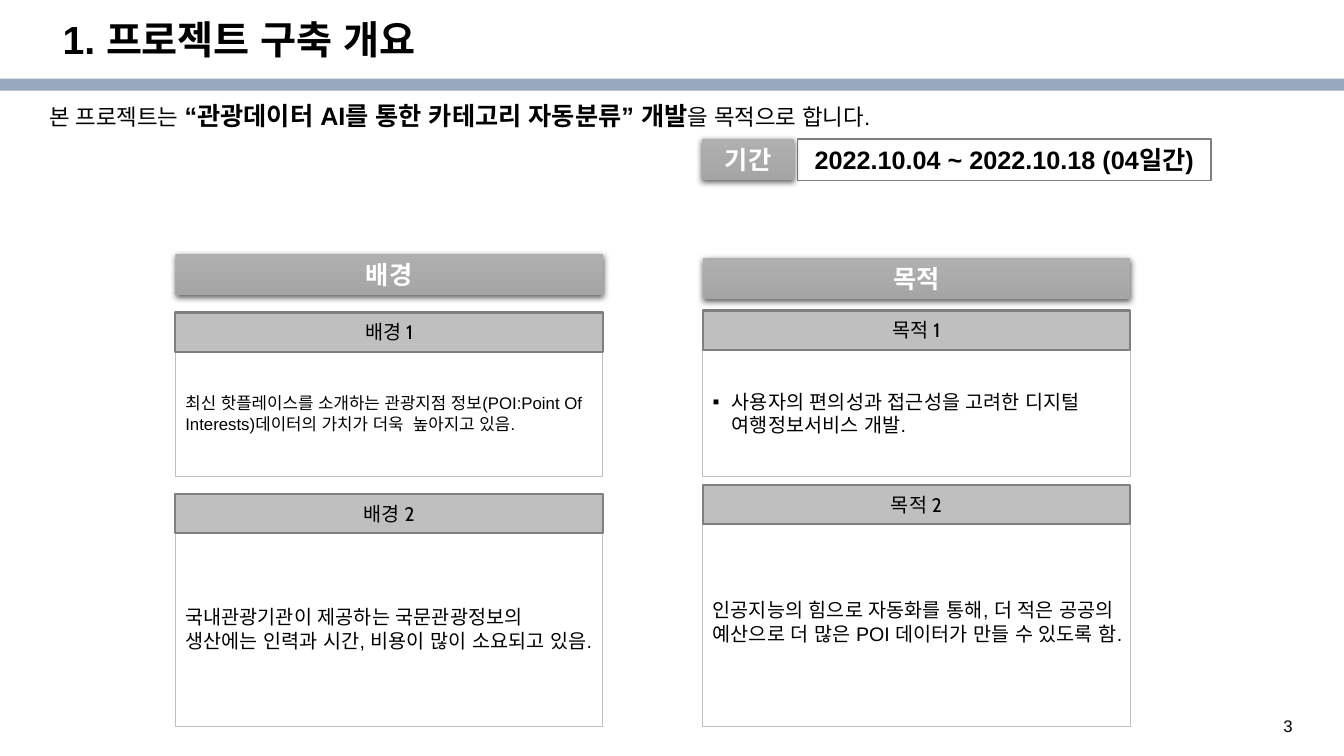
from lxml import etree
from pptx import Presentation
from pptx.dml.color import RGBColor
from pptx.enum.shapes import MSO_SHAPE
from pptx.enum.text import MSO_ANCHOR, MSO_AUTO_SIZE, PP_ALIGN
from pptx.oxml import parse_xml
from pptx.oxml.ns import nsdecls, qn
from pptx.util import Inches, Pt

RECT = MSO_SHAPE.RECTANGLE
TOP, MIDDLE = MSO_ANCHOR.TOP, MSO_ANCHOR.MIDDLE
LEFT, CENTER = PP_ALIGN.LEFT, PP_ALIGN.CENTER
COLUMN_W, BANNER_H, HEADING_H = 4.24, 0.41, 0.39
BANNER_SHADOW = (
    f'<a:effectLst {nsdecls("a")}><a:outerShdw blurRad="{Pt(4.5)}" dist="{Pt(1.5)}"'
    ' dir="5400000" rotWithShape="0"><a:srgbClr val="000000"><a:alpha val="63000"/>'
    '</a:srgbClr></a:outerShdw></a:effectLst>')

HEADING = dict(size=14, name="Cabin")
STRONG = dict(size=18, bold=True)


def rgb(value):
    return RGBColor.from_string(value)


def add_run(p, text, size=14, bold=False, name="Arial", color="000000"):
    r = p.add_run()
    r.text = text
    for key, value in dict(size=Pt(size), bold=bold, name=name).items():
        setattr(r.font, key, value)
    r.font.color.rgb = rgb(color)
    # Korean text takes the same typeface
    etree.SubElement(r.font._element, qn("a:ea"), typeface=name)


def write(s, runs, align=LEFT, anchor=MIDDLE, inset=(0.1, 0.05), spacing=None):
    tf = s.text_frame
    x, y = (Inches(v) for v in inset)
    settings = dict(word_wrap=True, auto_size=MSO_AUTO_SIZE.NONE, vertical_anchor=anchor,
                    margin_left=x, margin_right=x, margin_top=y, margin_bottom=y)
    for key, value in settings.items():
        setattr(tf, key, value)
    p = tf.paragraphs[0]
    p.alignment, p.line_spacing = align, spacing
    for text, style in runs:
        add_run(p, text, **style)
    return p


def add_rect(slide, box, fill=None, line=None, width=0.75):
    s = slide.shapes.add_shape(RECT, *map(Inches, box))
    s.shadow.inherit = False
    if fill:
        s.fill.solid()
        s.fill.fore_color.rgb = rgb(fill)
    if line:
        s.line.color.rgb = rgb(line)
        s.line.width = Pt(width)
    else:
        s.line.fill.background()
    return s


def add_text(slide, box, runs, **layout):
    s = slide.shapes.add_textbox(*map(Inches, box))
    write(s, runs, **layout)


def add_bullet(p, char):
    pPr = p._p.get_or_add_pPr()
    pPr.set("marL", str(Inches(0.19)))
    pPr.set("indent", str(-Inches(0.19)))
    color = etree.SubElement(pPr, qn("a:buClr"))
    etree.SubElement(color, qn("a:srgbClr"), val="000000")
    etree.SubElement(pPr, qn("a:buFont"), typeface="Arial")
    etree.SubElement(pPr, qn("a:buChar"), char=char)


def add_banner(slide, box, text):
    """Grey gradient label with a soft shadow."""
    s = add_rect(slide, box)
    s.fill.gradient()
    s.fill.gradient_angle = 270
    for stop, color in zip(s.fill.gradient_stops, ("AFAFAF", "A5A5A5")):
        stop.color.rgb = rgb(color)
    spPr = s._element.spPr
    spPr.replace(spPr.find(qn("a:effectLst")), parse_xml(BANNER_SHADOW))
    write(s, [(text, dict(STRONG, color="FFFFFF"))], CENTER)


def add_card(slide, left, heading_top, body_top, body_h, heading, text, size=14, bullet=None):
    """White body with a grey heading bar over its top edge."""
    body = add_rect(slide, (left, body_top, COLUMN_W, body_h), "FFFFFF", "BFBFBF")
    p = write(body, [(text, dict(size=size))])
    if bullet:
        add_bullet(p, bullet)
    bar = add_rect(slide, (left, heading_top, COLUMN_W, HEADING_H), "BFBFBF", "7F7F7F", 1.5)
    write(bar, [(heading, HEADING)], CENTER, inset=(0.08, 0.08))


def add_column(slide, left, top, title, cards):
    add_banner(slide, (left, top, COLUMN_W, BANNER_H), title)
    for card in cards:
        add_card(slide, left, **card)


def add_header(slide, width):
    add_rect(slide, (0, 0.78, width, 0.12), "98A8BD")
    title = slide.shapes.title
    title.left, title.top, title.width, title.height = map(Inches, (0.52, 0.15, 11.5, 0.53))
    write(title, [("1. 프로젝트 구축 개요", dict(size=28, bold=True))], spacing=0.9)
    add_text(slide, (0.39, 0.98, 12.01, 0.71), [
        ("본 프로젝트는 ", dict(size=16)),
        ("“관광데이터 AI를 통한 카테고리 자동분류” 개발", STRONG),
        ("을 목적으로 합니다.", dict(size=16)),
    ], anchor=TOP, spacing=0.9)


def add_period(slide, left, top):
    dates = add_rect(slide, (left + 0.95, top, 4.1, BANNER_H), "FFFFFF", "7F7F7F", 1)
    write(dates, [("2022.10.04 ~ 2022.10.18 (04일간)", STRONG)], CENTER)
    add_banner(slide, (left, top, 0.92, BANNER_H), "기간")


BACKGROUND = [
    dict(heading_top=3.1, body_top=3.47, body_h=1.26, heading="배경 1", size=12,
         text="최신 핫플레이스를 소개하는 관광지점 정보(POI:Point Of Interests)"
              "데이터의 가치가 더욱  높아지고 있음."),
    dict(heading_top=4.9, body_top=5.26, body_h=1.95, heading="배경 2",
         text="국내관광기관가 제공하는 국문관광정보의 생산에는 인력과 시간, "
              "비용이 많이 소요되고 있음.".replace("기관가", "기관이")),
]
BACKGROUND[1]["text"] = ("국내관광기관이 제공하는 국문관광정보의 생산에는 인력과 시간, "
                         "비용이 많이 소요되고 있음.")
PURPOSE = [
    dict(heading_top=3.08, body_top=3.47, body_h=1.26, heading="목적 1", bullet="▪",
         text="사용자의 편의성과 접근성을 고려한 디지털 여행정보서비스 개발."),
    dict(heading_top=4.81, body_top=5.12, body_h=2.09, heading="목적 2",
         text="인공지능의 힘으로 자동화를 통해, 더 적은 공공의 예산으로 더 많은 "
              "POI 데이터가 만들 수 있도록 함."),
]


def main():
    prs = Presentation()
    prs.slide_width, prs.slide_height = Inches(13.33), Inches(7.5)
    slide = prs.slides.add_slide(prs.slide_layouts[5])
    add_header(slide, 13.33)
    # Background and purpose columns
    add_column(slide, 1.74, 2.52, "배경", BACKGROUND)
    add_column(slide, 6.97, 2.56, "목적", PURPOSE)
    # Project period
    add_period(slide, 6.96, 1.38)
    # Page number
    add_text(slide, (12.63, 7.05, 0.51, 0.27), [("3", dict(size=12))], anchor=TOP)
    prs.save("out.pptx")


if __name__ == "__main__":
    main()
